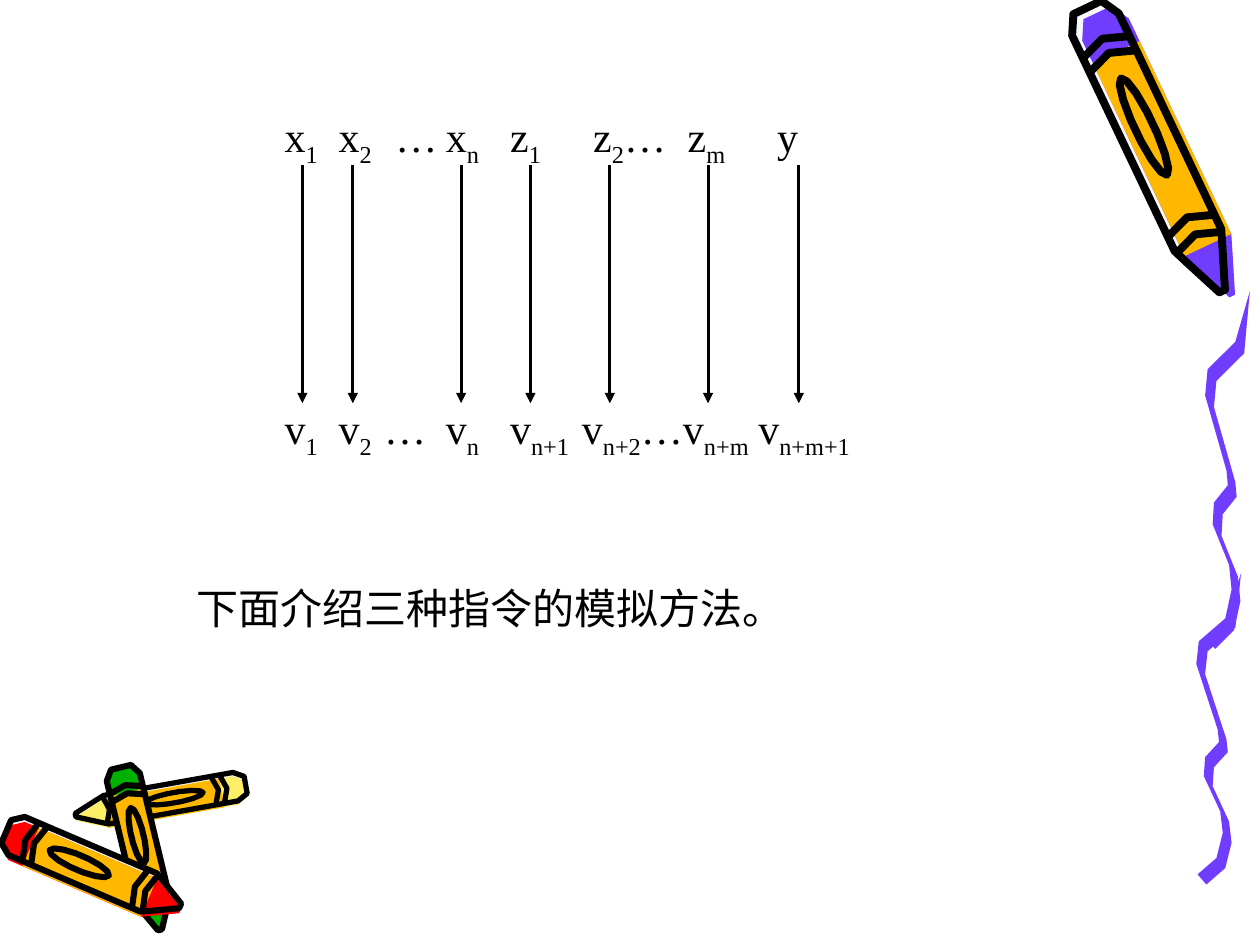
from math import cos, hypot, pi, sin

from lxml import etree
from pptx import Presentation
from pptx.dml.color import RGBColor
from pptx.enum.shapes import MSO_CONNECTOR
from pptx.oxml.ns import qn
from pptx.util import Inches, Pt

STRAIGHT = MSO_CONNECTOR.STRAIGHT
FONT = "Times New Roman"
BLACK, WHITE, PURPLE, ORANGE = "000000", "F8F8F8", "703DFF", "FFB800"
RED, GREEN, YELLOW = "FF0000", "00B200", "FFEF66"

# One list per row, one entry per tab stop: (stop, text); "_" opens a subscript, "|" closes it
VARIABLE_ROWS = [
    [(0, "x_1"), (0.43, "x_2"), (0.88, "…"), (1.28, "x_n"), (1.79, "z_1"),
     (2.45, "z_2|…"), (3.2, "z_m"), (3.91, "y")],
    [(0, "v_1"), (0.43, "v_2"), (0.79, "…"), (1.28, "v_n"), (1.79, "v_n+1"),
     (2.36, "v_n+2|…v_n+m"), (3.76, "v_n+m+1")],
]
ROW_GAP = Pt(134)
ARROW_XS = [2.4, 2.8, 3.66, 4.21, 4.84, 5.62, 6.34]
ARROW_TOP, ARROW_BOTTOM = 1.31, 3.2
CLOSING = "下面介绍三种指令的模拟方法。"

# Each crayon: tip colour, tail point, tip point, thickness, ink width in points, shift of the colour
CRAYONS = [
    (PURPLE, (8.63, 0.06), (9.7, 2.31), 0.41, 4.5, (0.08, 0.04)),
    (YELLOW, (1.95, 6.23), (0.6, 6.47), 0.23, 3, (0, 0.03)),
    (GREEN, (0.96, 6.09), (1.27, 7.38), 0.27, 3.5, (0, 0.02)),
    (RED, (0.05, 6.6), (1.43, 7.19), 0.33, 3.5, (0, 0.04)),
]
# A crayon in its own frame: along runs 0 to 1 from tail to tip, across -0.5 to 0.5
HALF_OUTLINE = [(0, 0.3), (0.06, 0.5), (0.82, 0.5), (0.87, 0.38), (1, 0.06)]
WRAPPER_START, WRAPPER_END = 0.14, 0.82
RINGS = [0.14, 0.19, 0.77, 0.83]
RING_BULGE = 0.03
LABEL_CENTRE, LABEL_LENGTH, LABEL_WIDTH, LABEL_CORNERS = 0.42, 0.34, 0.36, 14

# Centre line of the squiggle, top to bottom; a slanted nib gives it its breadth
SQUIGGLE_LINE = [(0.28, 0.39), (0.06, 0.58), (0.04, 0.76), (0.21, 1.28), (0.22, 1.38),
                 (0.11, 1.5), (0.1, 1.65), (0.23, 1.93), (0.25, 2.1), (0.2, 2.3), (0.05, 2.43)]
SQUIGGLE_TOP = (0.36, 0)
NIB = (0.035, 0.04)
SQUIGGLE_PLACES = [(9.49, 4.55, 1), (9.56, 2.31, 1.15)]  # left, top, vertical stretch


def rgb(color):
    return RGBColor.from_string(color)


def add_path(shapes, points, fill=None, ink_width=None, close=True):
    corners = [(Inches(x), Inches(y)) for x, y in points]
    builder = shapes.build_freeform(*corners[0])
    builder.add_line_segments(corners[1:], close=close)
    path = builder.convert_to_shape()
    path.shadow.inherit = False
    if fill:
        path.fill.solid()
        path.fill.fore_color.rgb = rgb(fill)
    else:
        path.fill.background()
    if ink_width:
        path.line.color.rgb = rgb(BLACK)
        path.line.width = Pt(ink_width)
    else:
        path.line.fill.background()


def add_crayon(slide, tip_color, tail, tip, thickness, ink_width, color_shift):
    """White base, colours printed slightly off register, then the black ink."""
    shapes = slide.shapes.add_group_shape().shapes
    run, rise = tip[0] - tail[0], tip[1] - tail[1]
    length = hypot(run, rise)

    def place(points, shift=(0, 0)):
        """Turn (along, across) points into slide points."""
        return [(tail[0] + along * run - across * thickness * rise / length + shift[0],
                 tail[1] + along * rise + across * thickness * run / length + shift[1])
                for along, across in points]

    outline = HALF_OUTLINE + [(along, -across) for along, across in reversed(HALF_OUTLINE)]
    wrapper = [(WRAPPER_START, -0.5), (WRAPPER_END, -0.5), (WRAPPER_END, 0.5), (WRAPPER_START, 0.5)]
    angles = [2 * pi * step / LABEL_CORNERS for step in range(LABEL_CORNERS)]
    label = [(LABEL_CENTRE + LABEL_LENGTH / 2 * cos(angle), LABEL_WIDTH / 2 * sin(angle))
             for angle in angles]

    add_path(shapes, place(outline), fill=WHITE)
    add_path(shapes, place(outline, color_shift), fill=tip_color)
    add_path(shapes, place(wrapper, color_shift), fill=ORANGE)
    add_path(shapes, place(outline), ink_width=ink_width)
    add_path(shapes, place(label), ink_width=ink_width)
    for ring in RINGS:
        arc = [(ring, -0.5), (ring - RING_BULGE, 0), (ring, 0.5)]
        add_path(shapes, place(arc), ink_width=ink_width, close=False)


def add_squiggle(shapes, left, top, stretch):
    right_edge = [(x + NIB[0], y + NIB[1]) for x, y in SQUIGGLE_LINE]
    left_edge = [(x - NIB[0], y - NIB[1]) for x, y in reversed(SQUIGGLE_LINE)]
    ribbon = [SQUIGGLE_TOP] + right_edge + left_edge
    add_path(shapes, [(left + x, top + y * stretch) for x, y in ribbon], fill=PURPLE)


def add_arrow(shapes, x):
    arrow = shapes.add_connector(STRAIGHT, *map(Inches, (x, ARROW_TOP, x, ARROW_BOTTOM)))
    arrow.line.color.rgb = rgb(BLACK)
    arrow.line.width = Pt(1.75)
    properties = arrow._element.spPr
    etree.SubElement(properties.find(qn("a:ln")), qn("a:tailEnd"), type="triangle")
    etree.SubElement(properties, qn("a:effectLst"))


def add_text_frame(slide, left, top, width, height):
    frame = slide.shapes.add_textbox(*map(Inches, (left, top, width, height))).text_frame
    frame.word_wrap = True
    return frame


def add_run(paragraph, text, subscript=False):
    run = paragraph.add_run()
    run.text = text
    run.font.name = FONT
    run.font.size = Pt(24)
    run.font.color.rgb = rgb(BLACK)
    if subscript:
        run.font._element.set("baseline", "-25000")


def fill_row(paragraph, cells):
    """Write the cells at their tab stops, with subscripts."""
    tabs = etree.SubElement(paragraph._p.get_or_add_pPr(), qn("a:tabLst"))
    for stop, text in cells:
        if stop:
            etree.SubElement(tabs, qn("a:tab"), pos=str(Inches(stop)), algn="l")
            add_run(paragraph, "\t")
        for part in text.split("|"):
            symbol, _, subscript = part.partition("_")
            add_run(paragraph, symbol)
            if subscript:
                add_run(paragraph, subscript, subscript=True)


def main():
    deck = Presentation()
    deck.slide_width, deck.slide_height = Inches(10), Inches(7.5)
    slide = deck.slides.add_slide(deck.slide_layouts[6])

    for crayon in CRAYONS:
        add_crayon(slide, *crayon)
    squiggles = slide.shapes.add_group_shape()
    for place in SQUIGGLE_PLACES:
        add_squiggle(squiggles.shapes, *place)

    variables = add_text_frame(slide, 2.16, 0.83, 5.59, 2.83)
    first_row, second_row = variables.paragraphs[0], variables.add_paragraph()
    second_row.space_before = ROW_GAP
    for row, cells in zip((first_row, second_row), VARIABLE_ROWS):
        fill_row(row, cells)
    for x in ARROW_XS:
        add_arrow(slide.shapes, x)

    closing = add_text_frame(slide, 1.46, 4.62, 7.01, 0.46).paragraphs[0]
    closing.line_spacing = 0.9
    add_run(closing, CLOSING)
    deck.save("out.pptx")


if __name__ == "__main__":
    main()
